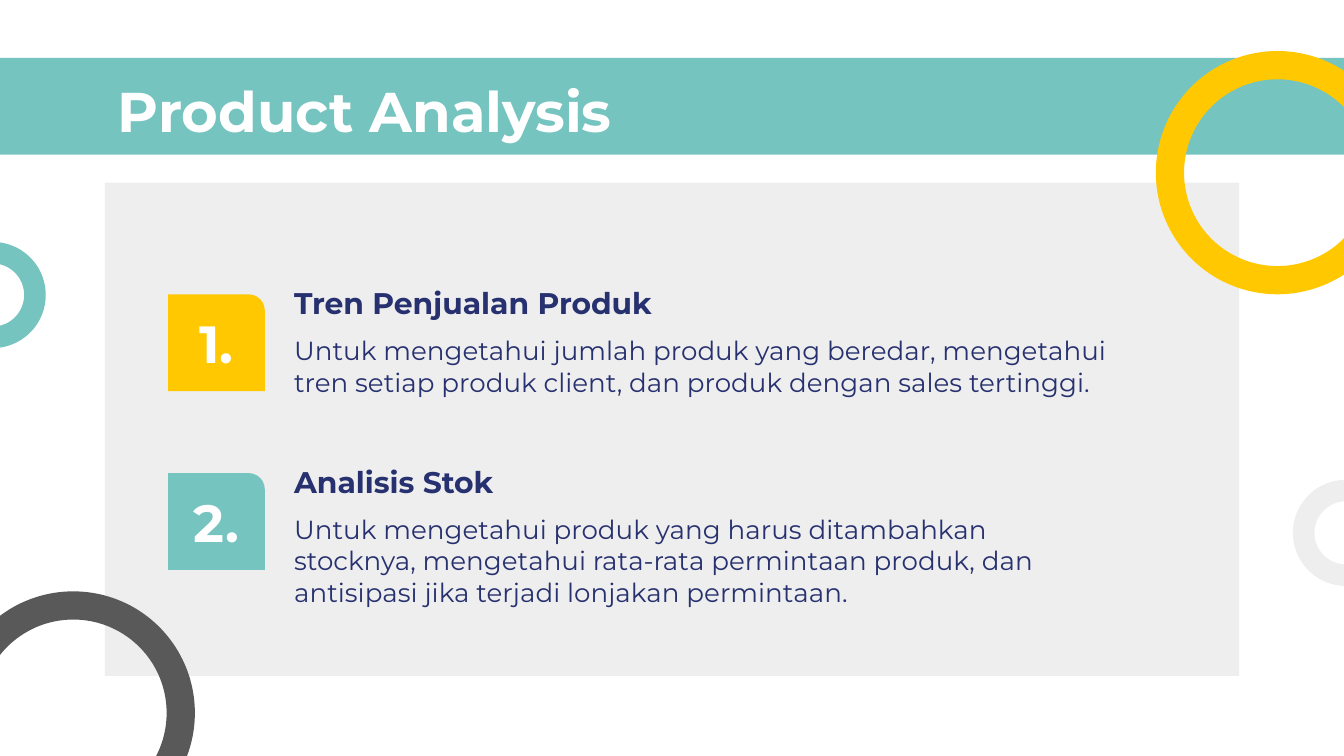
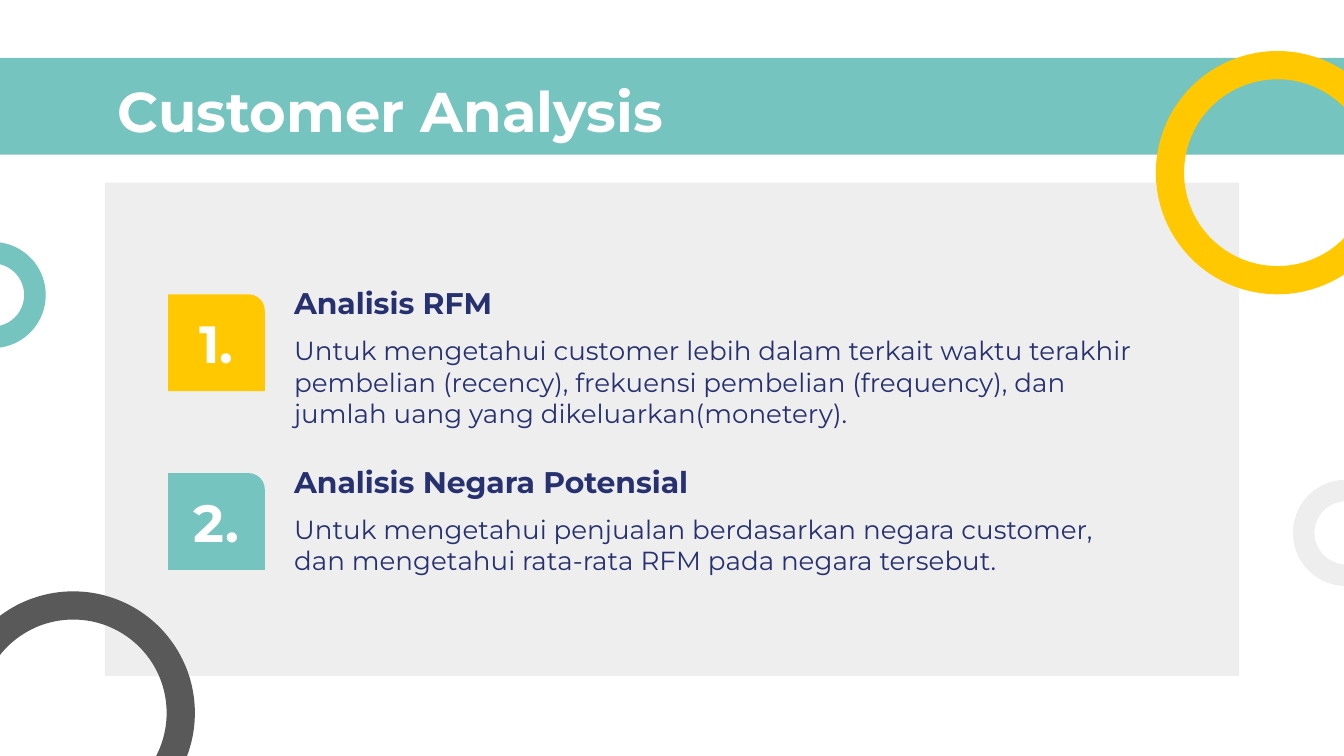
from dataclasses import dataclass

import pptx
import pptx.dml.color
import pptx.enum.shapes
import pptx.enum.text
import pptx.util

Inches = pptx.util.Inches
Shape = pptx.enum.shapes.MSO_SHAPE
Align = pptx.enum.text.PP_ALIGN
Anchor = pptx.enum.text.MSO_ANCHOR


@dataclass(frozen=True)
class Theme:
    font: str = "Montserrat"
    teal: str = "75C4C0"
    gold: str = "FFC800"
    pale: str = "EEEEEE"
    dark: str = "595959"
    navy: str = "27316F"
    white: str = "FFFFFF"
    title: int = 30
    number: int = 28
    head: int = 16
    body: int = 14


THEME = Theme()


@dataclass(frozen=True)
class Box:
    left: float
    top: float
    width: float
    height: float

    def place(self) -> list[int]:
        return [Inches(n) for n in (self.left, self.top, self.width, self.height)]


@dataclass(frozen=True)
class Ring:
    left: float
    top: float
    size: float
    band: float
    fill: str


@dataclass(frozen=True)
class Style:
    size: int
    color: str
    bold: bool = True
    align: Align = Align.LEFT
    anchor: Anchor = Anchor.TOP


@dataclass(frozen=True)
class Item:
    head: str
    body: str
    wide: float
    span: float
    tall: float


@dataclass(frozen=True)
class Page:
    title: str
    items: tuple[Item, ...]


TITLE = Style(THEME.title, THEME.white)
NUMBER = Style(THEME.number, THEME.white, align=Align.CENTER, anchor=Anchor.MIDDLE)
HEAD = Style(THEME.head, THEME.navy)
BODY = Style(THEME.body, THEME.navy, bold=False)

BIG, SMALL = 1.81, 0.79
WIDE, SLIM = 0.21, 0.16
RINGS = (
    Ring(8.6, 0.38, BIG, WIDE, THEME.gold),
    Ring(-0.45, 1.8, SMALL, SLIM, THEME.teal),
    Ring(9.62, 3.57, SMALL, SLIM, THEME.pale),
)
CORNER = Ring(-0.36, 4.4, BIG, WIDE, THEME.dark)

BAND = Box(-0.17, 0.43, 10.34, 0.72)
PANEL = Box(0.78, 1.36, 8.44, 3.67)
HEADER = Box(0.78, 0.47, 8.44, 0.63)

BADGE = 0.72
BADGE_X, TEXT_X = 1.25, 2.09
FIRST, STEP = 2.19, 1.33
FILLS = (THEME.gold, THEME.teal)

PAGES = (
    Page("Product Analysis", (
        Item(
            "Tren Penjualan Produk",
            "Untuk mengetahui jumlah produk yang beredar, mengetahui tren "
            "setiap produk client, dan produk dengan sales tertinggi.",
            3.34, 6.63, 0.86,
        ),
        Item(
            "Analisis Stok",
            "Untuk mengetahui produk yang harus ditambahkan stocknya, "
            "mengetahui rata-rata permintaan produk, dan antisipasi jika "
            "terjadi lonjakan permintaan.",
            2.68, 6.31, 0.92,
        ),
    )),
    Page("Customer Analysis", (
        Item(
            "Analisis RFM",
            "Untuk mengetahui customer lebih dalam terkait waktu terakhir "
            "pembelian (recency), frekuensi pembelian (frequency), dan "
            "jumlah uang yang dikeluarkan(monetery).",
            3.34, 6.63, 0.86,
        ),
        Item(
            "Analisis Negara Potensial",
            "Untuk mengetahui penjualan berdasarkan negara customer, dan "
            "mengetahui rata-rata RFM pada negara tersebut.",
            3.85, 6.48, 1.26,
        ),
    )),
)


def paint(fill: pptx.dml.fill.FillFormat, color: str) -> None:
    fill.solid()
    fill.fore_color.rgb = pptx.dml.color.RGBColor.from_string(color)


def add_form(
    slide: pptx.slide.Slide, kind: Shape, box: Box, color: str, adjust: float | None = None
) -> None:
    form = slide.shapes.add_shape(kind, *box.place())
    form.shadow.inherit = False
    form.line.fill.background()
    paint(form.fill, color)
    if adjust is not None:
        form.adjustments[0] = adjust


def add_ring(slide: pptx.slide.Slide, ring: Ring) -> None:
    box = Box(ring.left, ring.top, ring.size, ring.size)
    add_form(slide, Shape.DONUT, box, ring.fill, ring.band / ring.size)


def add_text(slide: pptx.slide.Slide, box: Box, text: str, style: Style) -> None:
    frame = slide.shapes.add_textbox(*box.place()).text_frame
    frame.word_wrap = True
    frame.vertical_anchor = style.anchor
    frame.margin_left = frame.margin_right = Inches(0.1)
    frame.margin_top = frame.margin_bottom = Inches(0.1)
    frame.text = text
    line = frame.paragraphs[0]
    line.alignment = style.align
    font = line.runs[0].font
    font.name = THEME.font
    font.size = pptx.util.Pt(style.size)
    font.bold = style.bold
    font.color.rgb = pptx.dml.color.RGBColor.from_string(style.color)


def add_frame(slide: pptx.slide.Slide) -> None:
    paint(slide.background.fill, THEME.white)
    add_form(slide, Shape.RECTANGLE, BAND, THEME.teal)
    add_form(slide, Shape.RECTANGLE, PANEL, THEME.pale)
    for ring in RINGS:
        add_ring(slide, ring)


def add_item(slide: pptx.slide.Slide, index: int, item: Item) -> None:
    top = FIRST + index * STEP
    badge = Box(BADGE_X, top, BADGE, BADGE)
    add_form(slide, Shape.ROUND_1_RECTANGLE, badge, FILLS[index], 1 / 6)
    add_text(slide, Box(BADGE_X, top + 0.11, BADGE, 0.5), f"{index + 1}.", NUMBER)
    add_text(slide, Box(TEXT_X, top - 0.17, item.wide, 0.39), item.head, HEAD)
    add_text(slide, Box(TEXT_X, top + 0.2, item.span, item.tall), item.body, BODY)


def main() -> None:
    deck = pptx.Presentation()
    deck.slide_width = Inches(10)
    deck.slide_height = Inches(10 * 9 / 16)
    for page in PAGES:
        slide = deck.slides.add_slide(deck.slide_layouts[6])
        add_frame(slide)
        for index, item in enumerate(page.items):
            add_item(slide, index, item)
        add_text(slide, HEADER, page.title, TITLE)
        add_ring(slide, CORNER)
    deck.save("out.pptx")


if __name__ == "__main__":
    main()
